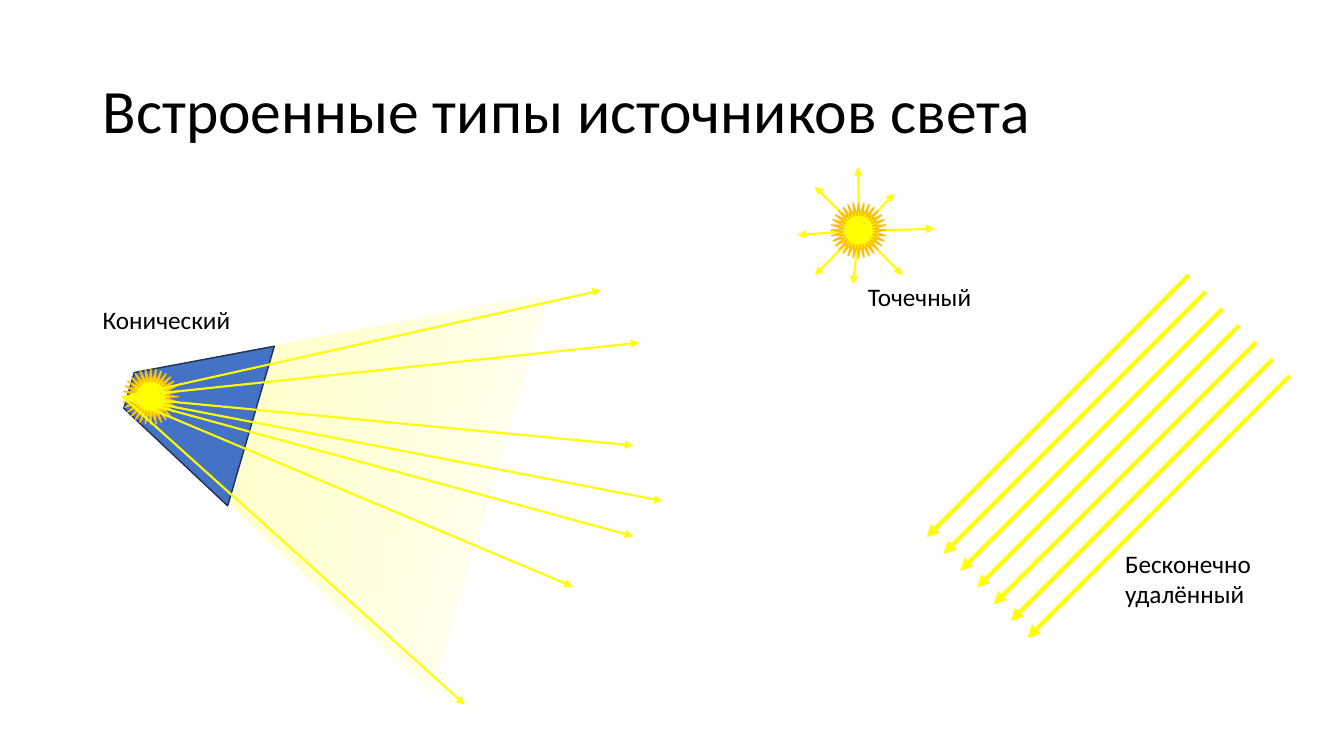
import copy
from dataclasses import dataclass

import pptx
import pptx.dml.color
import pptx.enum.dml
import pptx.enum.shapes
import pptx.enum.text
import pptx.oxml.ns
import pptx.oxml.xmlchemy
import pptx.util
from lxml import etree

Inches = pptx.util.Inches
Pt = pptx.util.Pt
Preset = pptx.enum.shapes.MSO_SHAPE
qn = pptx.oxml.ns.qn


@dataclass(frozen=True)
class Theme:
    font: str = "Calibri"
    text: str = "000000"
    light: str = "FFFF00"
    sun_edge: str = "FFC000"
    housing: str = "4472C4"
    housing_edge: str = "1E3256"
    beam: tuple = ("FFFFB5", "FFFFD1", "FFFFFF")
    title_size: int = 44
    label_size: int = 18
    sun_size: float = 0.55
    ray_width: float = 1.5
    sunbeam_width: float = 3
    edge_width: float = 1


THEME = Theme()


def rgb(value):
    return pptx.dml.color.RGBColor.from_string(value)


def style_text(frame, size):
    for para in frame.paragraphs:
        for span in para.runs:
            span.font.name = THEME.font
            span.font.size = Pt(size)
            span.font.color.rgb = rgb(THEME.text)


def add_title(page, left, top, width, height):
    title = page.shapes.title
    title.left, title.top = Inches(left), Inches(top)
    title.width, title.height = Inches(width), Inches(height)
    frame = title.text_frame
    frame.text = "Встроенные типы источников света"
    frame.word_wrap = True
    frame.vertical_anchor = pptx.enum.text.MSO_ANCHOR.MIDDLE
    frame.paragraphs[0].alignment = pptx.enum.text.PP_ALIGN.LEFT
    frame.paragraphs[0].line_spacing = 0.9
    style_text(frame, THEME.title_size)


def add_label(page, text, left, top, height=0.4):
    box = page.shapes.add_textbox(Inches(left), Inches(top), Inches(1.97), Inches(height))
    frame = box.text_frame
    frame.word_wrap = True
    frame.auto_size = pptx.enum.text.MSO_AUTO_SIZE.SHAPE_TO_FIT_TEXT
    frame.text = text
    style_text(frame, THEME.label_size)


def add_ray(page, start, end, width):
    ray = page.shapes.add_connector(
        pptx.enum.shapes.MSO_CONNECTOR.STRAIGHT, *map(Inches, (*start, *end)))
    ray.line.color.rgb = rgb(THEME.light)
    ray.line.width = Pt(width)
    outline = ray.line._get_or_add_ln()
    etree.SubElement(outline, qn("a:tailEnd")).set("type", "triangle")
    etree.SubElement(ray.element.spPr, qn("a:effectLst"))


def add_preset(page, preset, adjustment, left, top, width, height):
    shape = page.shapes.add_shape(preset, *map(Inches, (left, top, width, height)))
    shape.adjustments[0] = adjustment
    shape.shadow.inherit = False
    return shape


def paint(shape, fill, edge):
    shape.fill.solid()
    shape.fill.fore_color.rgb = rgb(fill)
    shape.line.color.rgb = rgb(edge)
    shape.line.width = Pt(THEME.edge_width)


def add_sun(page, left, top):
    sun = add_preset(page, Preset.STAR_32_POINT, 0.266, left, top, THEME.sun_size, THEME.sun_size)
    paint(sun, THEME.light, THEME.sun_edge)


def add_trapezoid(page, left, top, width, height):
    shape = add_preset(page, Preset.TRAPEZOID, 0.508, left, top, width, height)
    shape.rotation = 286.3
    return shape


def paint_beam(shape):
    shape.line.fill.background()
    shape.fill.gradient()
    shape.fill.gradient_angle = 270
    stops = shape.element.spPr.find(qn("a:gradFill")).find(qn("a:gsLst"))
    stops.append(copy.deepcopy(stops[-1]))
    for index, (stop, color) in enumerate(zip(shape.fill.gradient_stops, THEME.beam)):
        stop.position = index / 2
        stop.color.rgb = rgb(color)


def add_point_light(page, left, top):
    center = (left + 0.61, top + 0.63)
    tips = [(0.17, 1.07), (1.04, 1.07), (0.96, 0.26), (0, 0.67),
            (0.17, 0.19), (1.36, 0.61), (0.55, 1.16), (0.6, 0)]
    for across, down in tips:
        add_ray(page, center, (left + across, top + down), THEME.ray_width)
    add_sun(page, left + 0.33, top + 0.35)
    add_label(page, "Точечный", left + 0.6, top + 1.08)


def add_cone_light(page, left, top):
    paint_beam(add_trapezoid(page, left + 0.1, top - 0.35, 4.12, 3.7))
    housing = add_trapezoid(page, left + 0.14, top + 0.54, 1.65, 1.26)
    paint(housing, THEME.housing, THEME.housing_edge)
    add_sun(page, left + 0.3, top + 0.78)
    add_label(page, "Конический", left, top + 0.09)
    source = (left + 0.3, top + 1.06)
    tips = [(3.69, 4.11), (4.76, 2.94), (5.65, 2.09), (5.42, 0.52),
            (5.36, 1.54), (5.36, 2.44), (5.04, 0)]
    for across, down in tips:
        add_ray(page, source, (left + across, top + down), THEME.ray_width)


def add_distant_light(page, left, top):
    reach = 2.6
    for index in range(7):
        shift = index / 6
        start = (left + reach + shift, top + shift)
        end = (left + shift, top + reach + shift)
        add_ray(page, start, end, THEME.sunbeam_width)
    add_label(page, "Бесконечно удалённый", left + 1.87, top + 2.66, 0.71)


def main():
    deck = pptx.Presentation()
    deck.slide_width, deck.slide_height = Inches(13.33), Inches(7.5)
    page = deck.slides.add_slide(deck.slide_layouts[5])
    add_title(page, 0.92, 0.4, 11.5, 1.45)
    add_point_light(page, 7.91, 1.66)
    add_cone_light(page, 0.92, 2.88)
    add_distant_light(page, 9.19, 2.73)
    deck.save("out.pptx")


if __name__ == "__main__":
    main()
